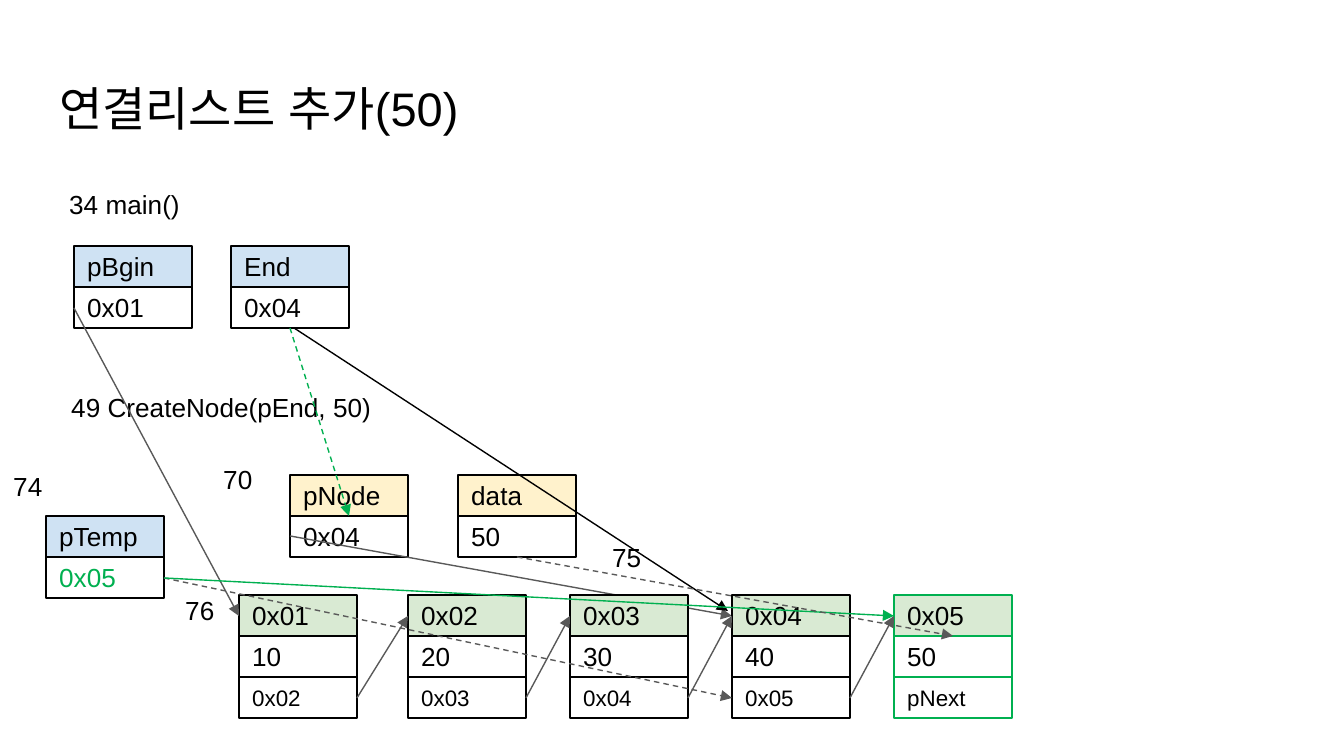
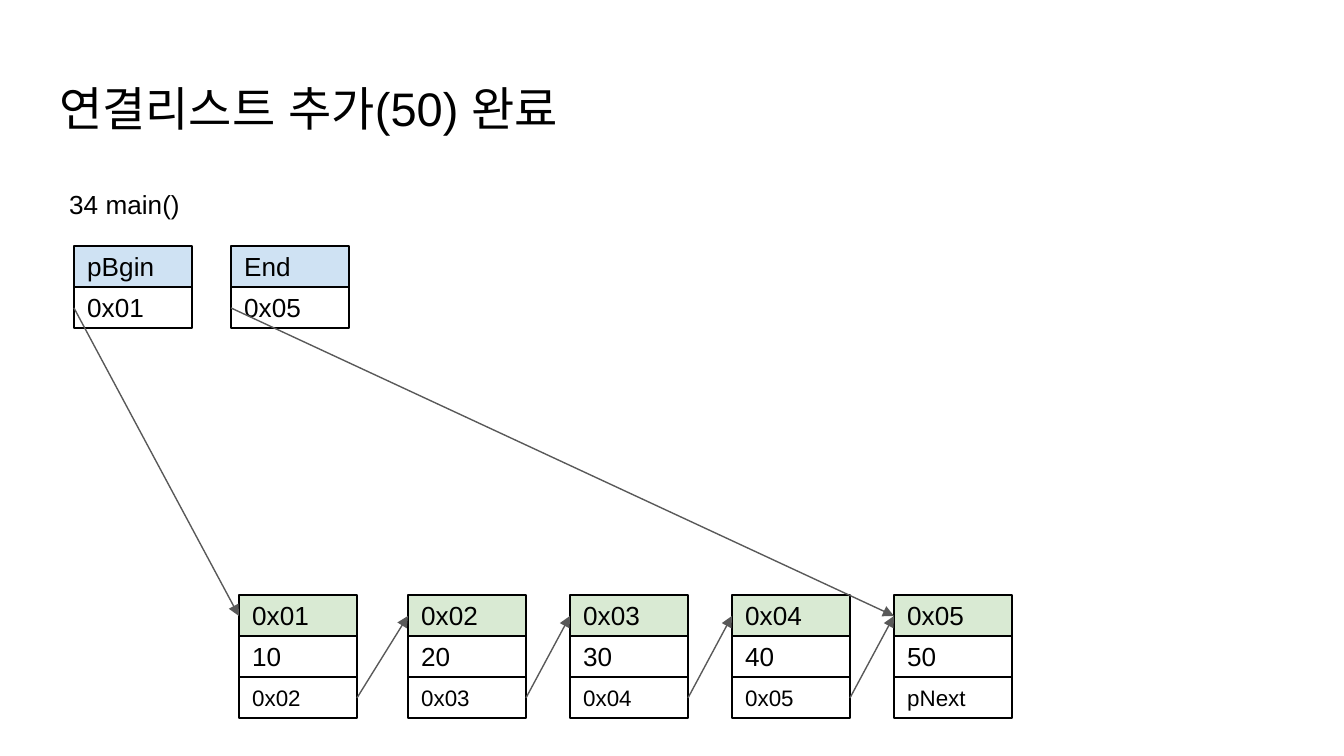
from lxml.etree import SubElement
from pptx import Presentation
from pptx.dml.color import RGBColor
from pptx.enum.dml import MSO_LINE
from pptx.enum.shapes import MSO_CONNECTOR, MSO_SHAPE
from pptx.enum.text import MSO_ANCHOR, MSO_AUTO_SIZE, PP_ALIGN
from pptx.oxml.ns import qn
from pptx.util import Emu, Pt

COLORS = {
    "black": "000000", "white": "FFFFFF", "gray": "595959", "green": "00B050",
    "pointer": "CFE2F3", "param": "FFF2CC", "node": "D9EAD3",
}
FONT = "Arial"
PX_PER_INCH = 134.4
CELL_W, CELL_H = 118, 41

# Top-left corners of the stacked boxes
BEGIN, END = (74, 246), (231, 246)
P_NODE, DATA, P_TEMP = (290, 475), (458, 475), (46, 516)
NODES = [(239, 595)] + [(408 + 162 * i, 595) for i in range(4)]
NODE_ROWS = [
    ("0x01", "10", "0x02"),
    ("0x02", "20", "0x03"),
    ("0x03", "30", "0x04"),
    ("0x04", "40", "0x05"),
    ("0x05", "50", "pNext"),
]


def px(n):
    return Emu(round(n * 914400 / PX_PER_INCH))


def rgb(name):
    return RGBColor.from_string(COLORS[name])


def port(stack, row, side):
    """Middle of one side of a cell."""
    dx, dy = {"left": (0, 0.5), "right": (1, 0.5),
              "top": (0.5, 0), "bottom": (0.5, 1)}[side]
    x, y = stack
    return round(x + dx * CELL_W), round(y + (row + dy) * CELL_H)


class Deck:
    def __init__(self):
        self.prs = Presentation()
        self.prs.slide_width, self.prs.slide_height = px(1344), px(756)
        self.s = None

    def slide(self, title):
        self.s = self.prs.slides.add_slide(self.prs.slide_layouts[6])
        self.label(title, 46, 66, 1252, 85, size=25.2, grow=False)

    def add_text(self, sp, text, size, color="black"):
        tf = sp.text_frame
        tf.word_wrap = True
        tf.margin_left = tf.margin_right = Pt(7.2)
        tf.margin_top = tf.margin_bottom = Pt(7.2)
        p = tf.paragraphs[0]
        p.alignment = PP_ALIGN.LEFT
        r = p.add_run()
        r.text = text
        r.font.name, r.font.size = FONT, Pt(size)
        r.font.color.rgb = rgb(color)
        SubElement(r.font._element, qn("a:ea")).set("typeface", FONT)
        return tf

    def label(self, text, x, y, w, h=59, size=14, grow=True):
        sp = self.s.shapes.add_textbox(px(x), px(y), px(w), px(h))
        tf = self.add_text(sp, text, size)
        tf.auto_size = MSO_AUTO_SIZE.SHAPE_TO_FIT_TEXT if grow else MSO_AUTO_SIZE.NONE

    def stack(self, pos, rows, head, line="black", value_color="black"):
        """Grouped column of cells: coloured head, values, small third row."""
        x, y = pos
        group = self.s.shapes.add_group_shape()
        for i, text in enumerate(rows):
            sp = group.shapes.add_shape(MSO_SHAPE.RECTANGLE, px(x), px(y + i * CELL_H),
                                        px(CELL_W), px(CELL_H))
            sp.shadow.inherit = False
            sp.fill.solid()
            sp.fill.fore_color.rgb = rgb("white" if i else head)
            sp.line.color.rgb = rgb(line)
            sp.line.width = Pt(0.75)
            tf = self.add_text(sp, text, 12 if i == 2 else 14, value_color if i else "black")
            tf.vertical_anchor = MSO_ANCHOR.MIDDLE

    def arrow(self, start, end, color="gray", dash=False):
        sp = self.s.shapes.add_connector(MSO_CONNECTOR.STRAIGHT,
                                         *(px(n) for n in start + end))
        sp.line.color.rgb = rgb(color)
        sp.line.width = Pt(0.75)
        if dash:
            sp.line.dash_style = MSO_LINE.DASH
        SubElement(sp.line._get_or_add_ln(), qn("a:tailEnd")).set("type", "triangle")
        SubElement(sp._element.spPr, qn("a:effectLst"))

    def main_pointers(self, end_value):
        self.label("34 main()", 56, 175, 738)
        self.stack(BEGIN, ("pBgin", "0x01"), "pointer")
        self.stack(END, ("End", end_value), "pointer")

    def linked_list(self, last_line):
        for pos, rows in zip(NODES, NODE_ROWS):
            self.stack(pos, rows, "node", last_line if pos == NODES[-1] else "black")
        for a, b in zip(NODES, NODES[1:]):
            self.arrow(port(a, 2, "right"), port(b, 0, "left"))
        self.arrow(port(BEGIN, 1, "left"), port(NODES[0], 0, "left"))


def adding(deck):
    deck.slide("연결리스트 추가(50)")
    deck.main_pointers("0x04")

    # CreateNode call and its variables
    deck.label("49 CreateNode(pEnd, 50)", 58, 378, 738)
    deck.stack(P_NODE, ("pNode", "0x04"), "param")
    deck.stack(DATA, ("data", "50"), "param")
    deck.stack(P_TEMP, ("pTemp", "0x05"), "pointer", value_color="green")
    deck.arrow(port(P_NODE, 1, "left"), port(NODES[3], 0, "left"))
    deck.linked_list("green")

    # Source line numbers
    for text, x, y, w in (("74", 0, 457, 95), ("75", 599, 528, 59),
                          ("76", 172, 581, 59), ("70", 210, 450, 59)):
        deck.label(text, x, y, w)

    # Pointer changes
    temp = port(P_TEMP, 1, "right")
    deck.arrow((294, 328), (728, 611), "black")
    deck.arrow(temp, port(NODES[3], 2, "left"), dash=True)
    deck.arrow(port(END, 1, "bottom"), port(P_NODE, 1, "top"), "green", dash=True)
    deck.arrow(temp, port(NODES[4], 0, "left"), "green")
    deck.arrow(port(DATA, 1, "bottom"), port(NODES[4], 1, "top"), dash=True)


def added(deck):
    deck.slide("연결리스트 추가(50) 완료")
    deck.main_pointers("0x05")
    deck.linked_list("black")
    deck.arrow(port(END, 1, "left"), port(NODES[4], 0, "left"))


def main():
    deck = Deck()
    adding(deck)
    added(deck)
    deck.prs.save("out.pptx")


if __name__ == "__main__":
    main()
